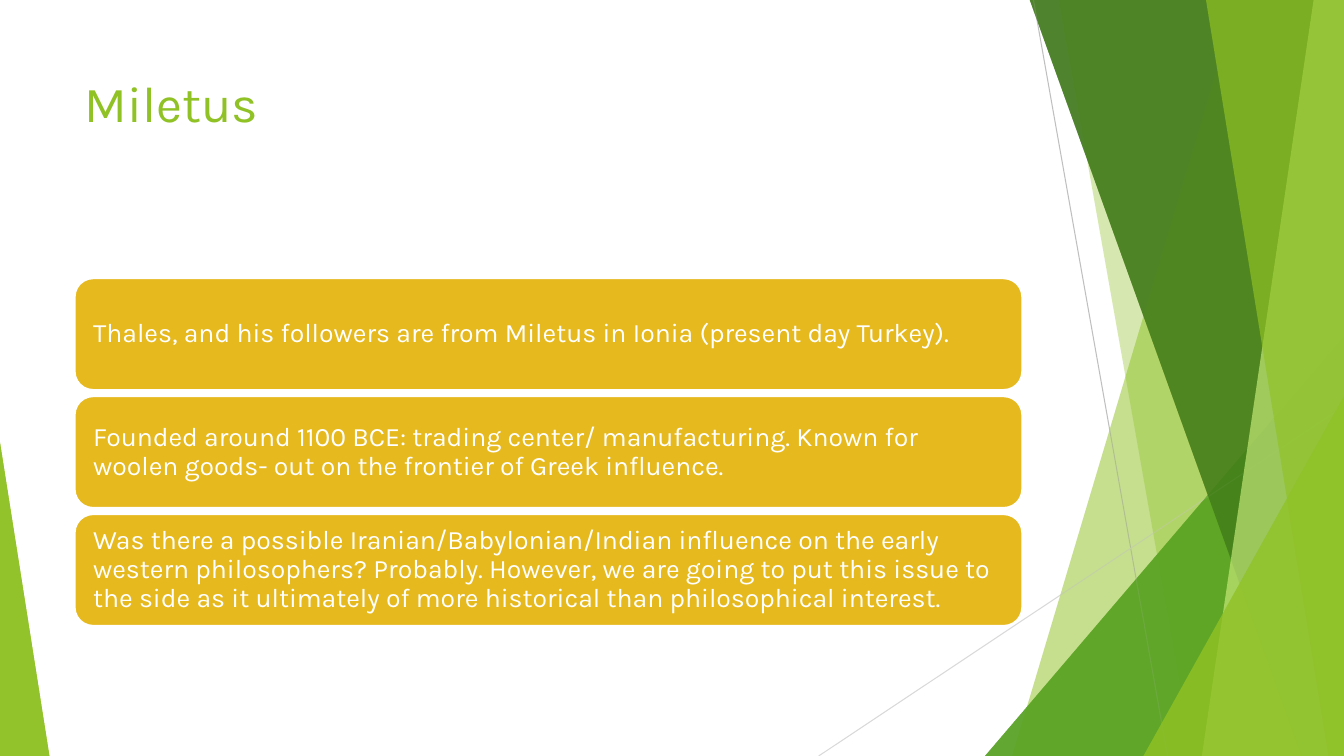
"""Build the Miletus slide: a title, three statement cards and green facets."""
from lxml.etree import SubElement
from pptx import Presentation
from pptx.dml.color import RGBColor
from pptx.enum.shapes import MSO_CONNECTOR, MSO_SHAPE
from pptx.enum.text import MSO_ANCHOR, PP_ALIGN
from pptx.oxml.ns import qn
from pptx.util import Pt

SCALE = 9144
WIDTH, HEIGHT = 1333, 750
FACET_TOP = -1
FONT = "Karla"

WHITE = RGBColor(0xFF, 0xFF, 0xFF)
LIME = RGBColor(0x90, 0xC2, 0x26)
LEAF = RGBColor(0x54, 0xA0, 0x21)
FOREST = RGBColor(0x3F, 0x78, 0x19)
PALE_LIME = RGBColor(0xC0, 0xE4, 0x74)
GOLD = RGBColor(0xE6, 0xB9, 0x1E)
GREY = RGBColor(0xBF, 0xBF, 0xBF)
LIGHT_GREY = RGBColor(0xD9, 0xD9, 0xD9)

CARD_LEFT, CARD_TOP, CARD_WIDTH, CARD_HEIGHT, CARD_STEP = 74, 276, 940, 111, 117
STATEMENTS = [
    "Thales, and his followers are from Miletus in Ionia (present day Turkey).",
    "Founded around 1100 BCE: trading center/ manufacturing. Known for woolen "
    "goods- out on the frontier of Greek influence.",
    "Was there a possible Iranian/Babylonian/Indian influence on the early "
    "western philosophers? Probably. However, we are going to put this issue to "
    "the side as it ultimately of more historical than philosophical interest.",
]


def px(*lengths):
    return [length * SCALE for length in lengths]


def fill_translucent(shape, color, opacity):
    shape.shadow.inherit = False
    shape.fill.solid()
    shape.fill.fore_color.rgb = color
    color_element = shape.element.spPr.find(".//" + qn("a:srgbClr"))
    SubElement(color_element, qn("a:alpha"), val=str(opacity * 1000))
    shape.line.fill.background()


def add_beam(slide, top_left, bottom_left, color, opacity):
    builder = slide.shapes.build_freeform(top_left, FACET_TOP, scale=SCALE)
    builder.add_line_segments(
        [(WIDTH, FACET_TOP), (WIDTH, HEIGHT), (bottom_left, HEIGHT)], close=True
    )
    fill_translucent(builder.convert_to_shape(), color, opacity)


def add_corner(slide, left, top, width, apex, color, opacity):
    shape = slide.shapes.add_shape(
        MSO_SHAPE.ISOSCELES_TRIANGLE, *px(left, top, width, HEIGHT - top)
    )
    shape.adjustments[0] = apex
    fill_translucent(shape, color, opacity)


def add_facets(slide):
    add_beam(slide, 1228, 1004, LIME, 30)
    add_beam(slide, 1050, 1183, LIME, 20)
    add_corner(slide, 977, 333, 356, 1, LEAF, 72)
    add_beam(slide, 1021, 1291, FOREST, 70)
    add_beam(slide, 1303, 1192, PALE_LIME, 70)
    add_beam(slide, 1196, 1318, LIME, 65)
    add_corner(slide, 1134, 393, 199, 1, LIME, 80)
    add_corner(slide, 0, 439, 49, 0, LIME, 85)


def add_thin_line(slide, start, end, color):
    connector = slide.shapes.add_connector(
        MSO_CONNECTOR.STRAIGHT, *px(*start, *end)
    )
    connector.line.color.rgb = color
    connector.line.width = Pt(0.75)
    SubElement(connector.element.spPr, qn("a:effectLst"))


def write_text(text_frame, text, size, color):
    text_frame.word_wrap = True
    text_frame.text = text
    paragraph = text_frame.paragraphs[0]
    paragraph.alignment = PP_ALIGN.LEFT
    font = paragraph.runs[0].font
    font.name = FONT
    font.size = Pt(size)
    font.color.rgb = color


def add_title(slide, text):
    title = slide.shapes.add_textbox(*px(74, 67, 940, 144))
    write_text(title.text_frame, text, 36, LIME)


def add_card(slide, top, text):
    card = slide.shapes.add_shape(
        MSO_SHAPE.ROUNDED_RECTANGLE, *px(CARD_LEFT, top, CARD_WIDTH, CARD_HEIGHT)
    )
    card.shadow.inherit = False
    card.fill.solid()
    card.fill.fore_color.rgb = GOLD
    card.line.color.rgb = WHITE
    card.line.width = Pt(1.5)
    text_frame = card.text_frame
    text_frame.margin_left, text_frame.margin_right = px(13, 13)
    text_frame.margin_top, text_frame.margin_bottom = px(13, 13)
    text_frame.vertical_anchor = MSO_ANCHOR.MIDDLE
    write_text(text_frame, text, 19, WHITE)
    text_frame.paragraphs[0].line_spacing = 0.9


def main():
    presentation = Presentation()
    presentation.slide_width, presentation.slide_height = px(WIDTH, HEIGHT)
    slide = presentation.slides.add_slide(presentation.slide_layouts[6])
    add_facets(slide)
    add_thin_line(slide, (1025, 0), (1158, HEIGHT), GREY)
    add_thin_line(slide, (WIDTH, 403), (812, HEIGHT), LIGHT_GREY)
    add_facets(slide)
    add_title(slide, "Miletus")
    for index, statement in enumerate(STATEMENTS):
        add_card(slide, CARD_TOP + index * CARD_STEP, statement)
    presentation.save("out.pptx")


if __name__ == "__main__":
    main()
